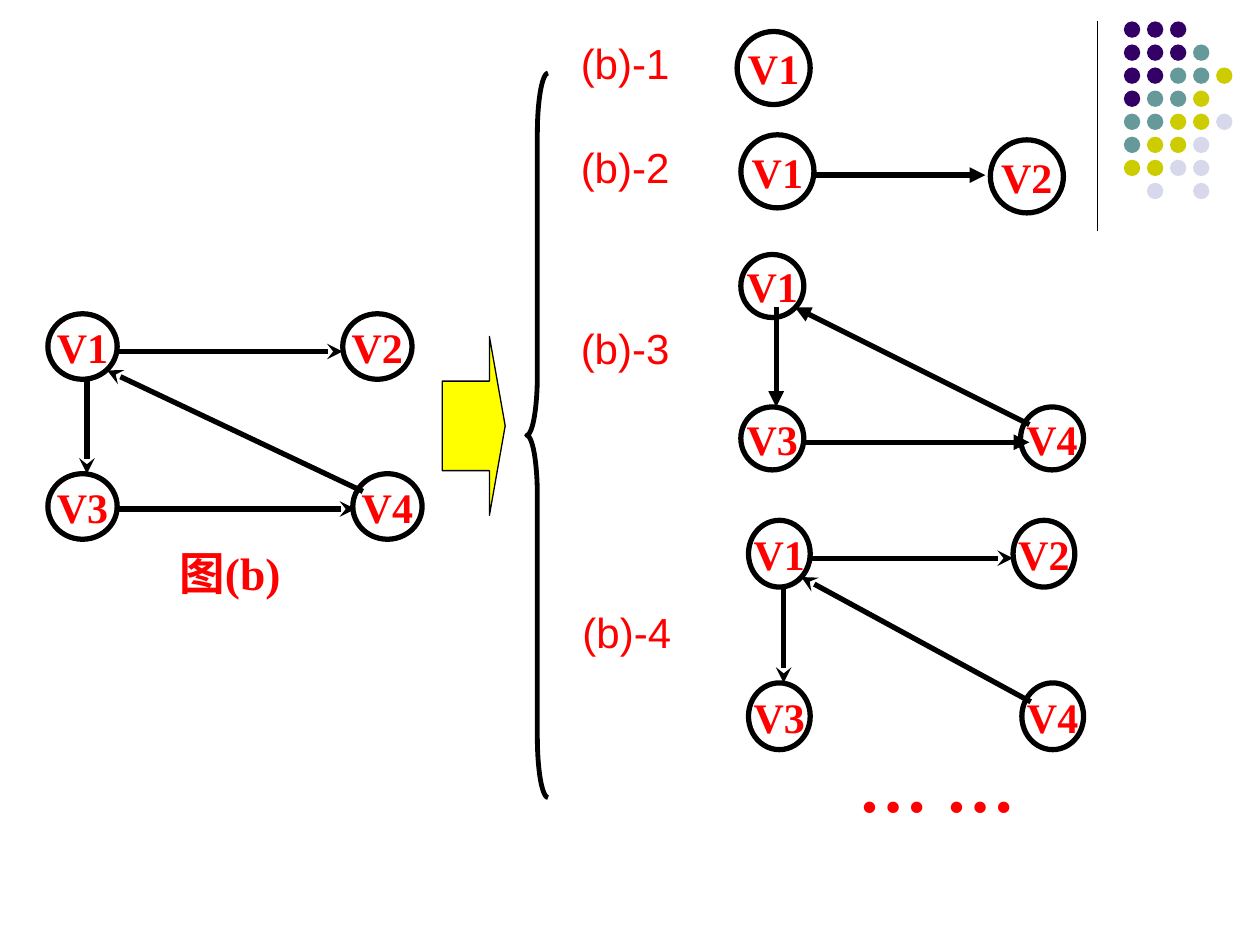
from pptx import Presentation
from pptx.dml.color import RGBColor
from pptx.enum.shapes import MSO_CONNECTOR as Connector, MSO_SHAPE as Shape
from pptx.enum.text import MSO_ANCHOR as Anchor, MSO_AUTO_SIZE as AutoSize, PP_ALIGN as Align
from pptx.oxml.ns import qn
from pptx.util import Inches, Pt
from lxml.etree import SubElement

COLORS = {"ink": "000000", "text": "FF0000", "arrow": "FFFF00",
          "P": "330066", "T": "669999", "Y": "CCCC00", "L": "D8D8EC"}

# Corner ornament: one letter per dot colour, a blank for no dot
DOT_ROWS = ["PPP", "PPPT", "PPTTY", "PTTY", "TTYYL", "TYYL", "YYLL", " L L"]

# Each graph: node size, arrowhead, edges (x1, y1, x2, y2), nodes (name, left, top)
GRAPHS = [
    # Figure (b)
    ((0.55, 0.52), "stealth",
     [(0.69, 3.01, 0.69, 3.76), (0.92, 2.79, 2.72, 2.79),
      (0.92, 4.04, 2.82, 4.04), (2.88, 3.9, 0.85, 2.94)],
     [("V4", 2.8, 3.76), ("V3", 0.38, 3.76), ("V2", 2.72, 2.49), ("V1", 0.38, 2.49)]),
    # (b)-1
    ((0.58, 0.58), None, [], [("V1", 5.85, 0.25)]),
    # (b)-2
    ((0.58, 0.58), "triangle", [(6.48, 1.39, 7.82, 1.39)],
     [("V2", 7.86, 1.11), ("V1", 5.88, 1.07)]),
    # (b)-4
    ((0.49, 0.53), "stealth",
     [(6.22, 4.66, 6.22, 5.42), (6.43, 4.43, 8.04, 4.43), (8.18, 5.57, 6.36, 4.58)],
     [("V4", 8.11, 5.42), ("V3", 5.94, 5.42), ("V2", 8.04, 4.13), ("V1", 5.94, 4.13)]),
    # (b)-3
    ((0.5, 0.5), "triangle",
     [(6.16, 2.44, 6.16, 3.23), (6.38, 3.51, 8.17, 3.51), (8.17, 3.37, 6.31, 2.44)],
     [("V4", 8.1, 3.23), ("V3", 5.88, 3.23), ("V1", 5.88, 2.02)]),
]

LABELS = [("(b)-1", 4.61, 0.39, Align.LEFT), ("(b)-2", 4.61, 1.22, Align.LEFT),
          ("(b)-3", 4.61, 2.65, Align.LEFT), ("(b)-4", 4.54, 4.91, Align.CENTER)]


def color(name):
    return RGBColor.from_string(COLORS[name])


def add_figure(page, kind, left, top, width, height, fill=None, line=None):
    figure = page.shapes.add_shape(kind, Inches(left), Inches(top), Inches(width), Inches(height))
    figure.shadow.inherit = False
    if fill:
        figure.fill.solid()
        figure.fill.fore_color.rgb = color(fill)
    else:
        figure.fill.background()
    if line:
        figure.line.color.rgb = color("ink")
        figure.line.width = Pt(line)
    else:
        figure.line.fill.background()
    return figure


def add_line(page, x1, y1, x2, y2, width, head=None):
    line = page.shapes.add_connector(
        Connector.STRAIGHT, Inches(x1), Inches(y1), Inches(x2), Inches(y2))
    line.line.color.rgb = color("ink")
    line.line.width = Pt(width)
    if head:
        SubElement(line.line._get_or_add_ln(), qn("a:tailEnd"), type=head)
    SubElement(line._element.spPr, qn("a:effectLst"))


def write(frame, text, size, font="Times New Roman", bold=True, align=Align.CENTER, spacing=None):
    para = frame.paragraphs[0]
    para.text = text
    para.alignment = align
    if spacing:
        para.line_spacing = Pt(spacing)
    para.font.name = font
    para.font.size = Pt(size)
    para.font.bold = bold
    para.font.color.rgb = color("text")


def add_node(page, name, left, top, size):
    node = add_figure(page, Shape.FLOWCHART_CONNECTOR, left, top, *size, line=3)
    frame = node.text_frame
    frame.word_wrap = False
    frame.vertical_anchor = Anchor.MIDDLE
    write(frame, name, 24)


def add_text(page, text, left, top, width, height, size, inset=True, anchor=Anchor.TOP, **style):
    box = page.shapes.add_textbox(Inches(left), Inches(top), Inches(width), Inches(height))
    frame = box.text_frame
    frame.word_wrap = True
    frame.auto_size = AutoSize.SHAPE_TO_FIT_TEXT
    frame.vertical_anchor = anchor
    if not inset:
        frame.margin_left = frame.margin_right = frame.margin_top = frame.margin_bottom = 0
    write(frame, text, size, **style)


def add_graph(page, size, head, edges, nodes):
    for edge in edges:
        add_line(page, *edge, 3, head)
    for name, left, top in nodes:
        add_node(page, name, left, top, size)


def add_ornament(page):
    add_line(page, 8.71, 0.17, 8.71, 1.83, 0.75)
    pitch = 0.183
    for row, dots in enumerate(DOT_ROWS):
        for column, dot in enumerate(dots):
            if dot != " ":
                add_figure(page, Shape.OVAL, 8.92 + pitch * column, 0.17 + pitch * row,
                           0.13, 0.13, fill=dot)


def main():
    deck = Presentation()
    deck.slide_width, deck.slide_height = Inches(10), Inches(7.5)
    page = deck.slides.add_slide(deck.slide_layouts[6])

    add_ornament(page)

    # The graph and its subgraphs
    for graph in GRAPHS:
        add_graph(page, *graph)
    add_text(page, "图(b)", 1.24, 4.28, 1.17, 0.54, 26)

    # Brace and block arrow between them
    brace = add_figure(page, Shape.LEFT_BRACE, 4.18, 0.58, 0.17, 5.75, line=2.75)
    brace.adjustments[0], brace.adjustments[1] = 2.82, 0.5
    arrow = add_figure(page, Shape.RIGHT_ARROW, 3.51, 2.67, 0.5, 1.42, fill="arrow", line=0.75)
    arrow.adjustments[0], arrow.adjustments[1] = 0.5, 0.25

    # Subgraph labels
    add_text(page, "… …", 6.75, 6.28, 1.37, 0.28, 40, inset=False,
             anchor=Anchor.MIDDLE, spacing=20)
    for text, left, top, align in LABELS:
        add_text(page, text, left, top, 0.87, 0.31, 24, inset=False,
                 font="Arial", bold=False, align=align, spacing=22)

    deck.save("out.pptx")


if __name__ == "__main__":
    main()
